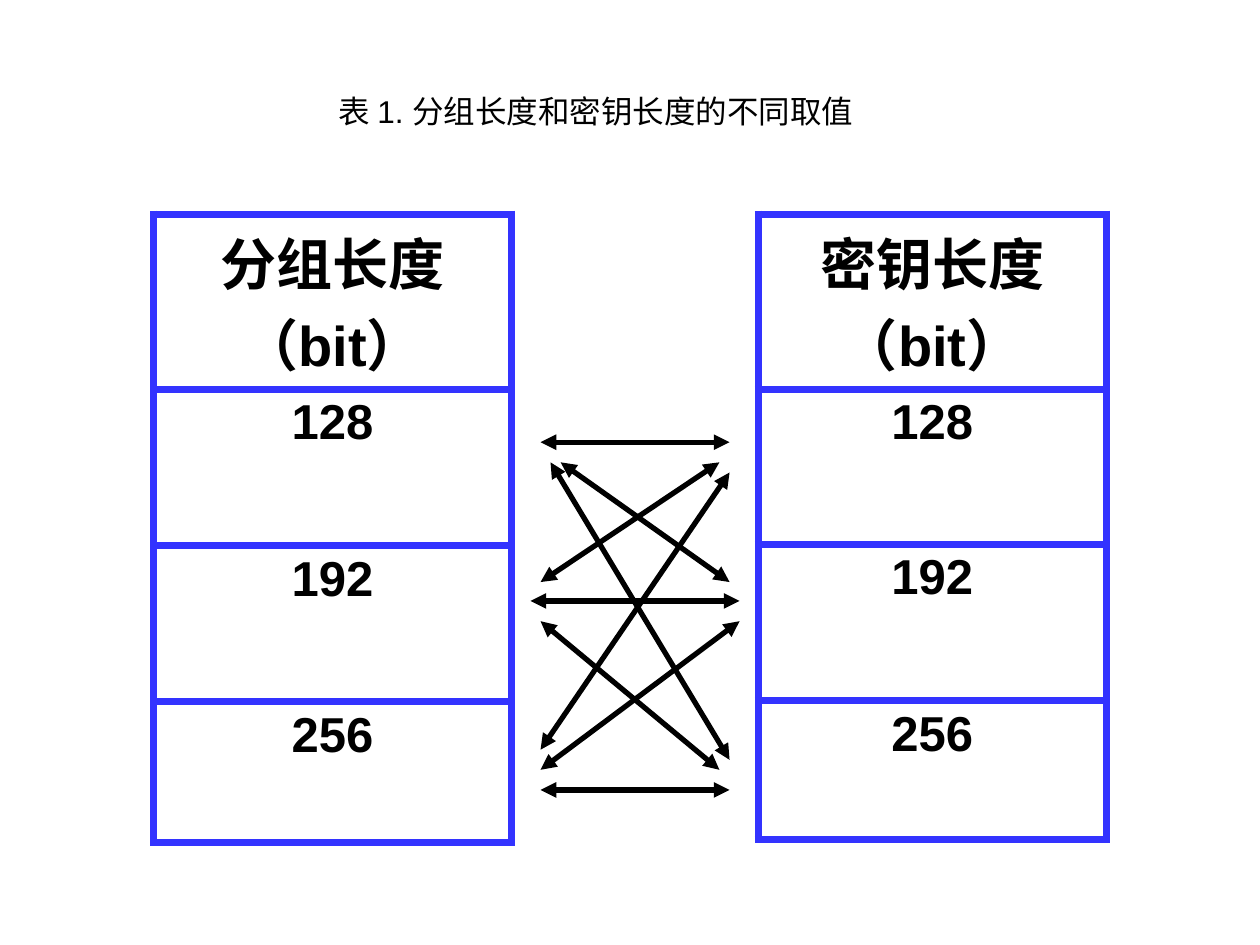
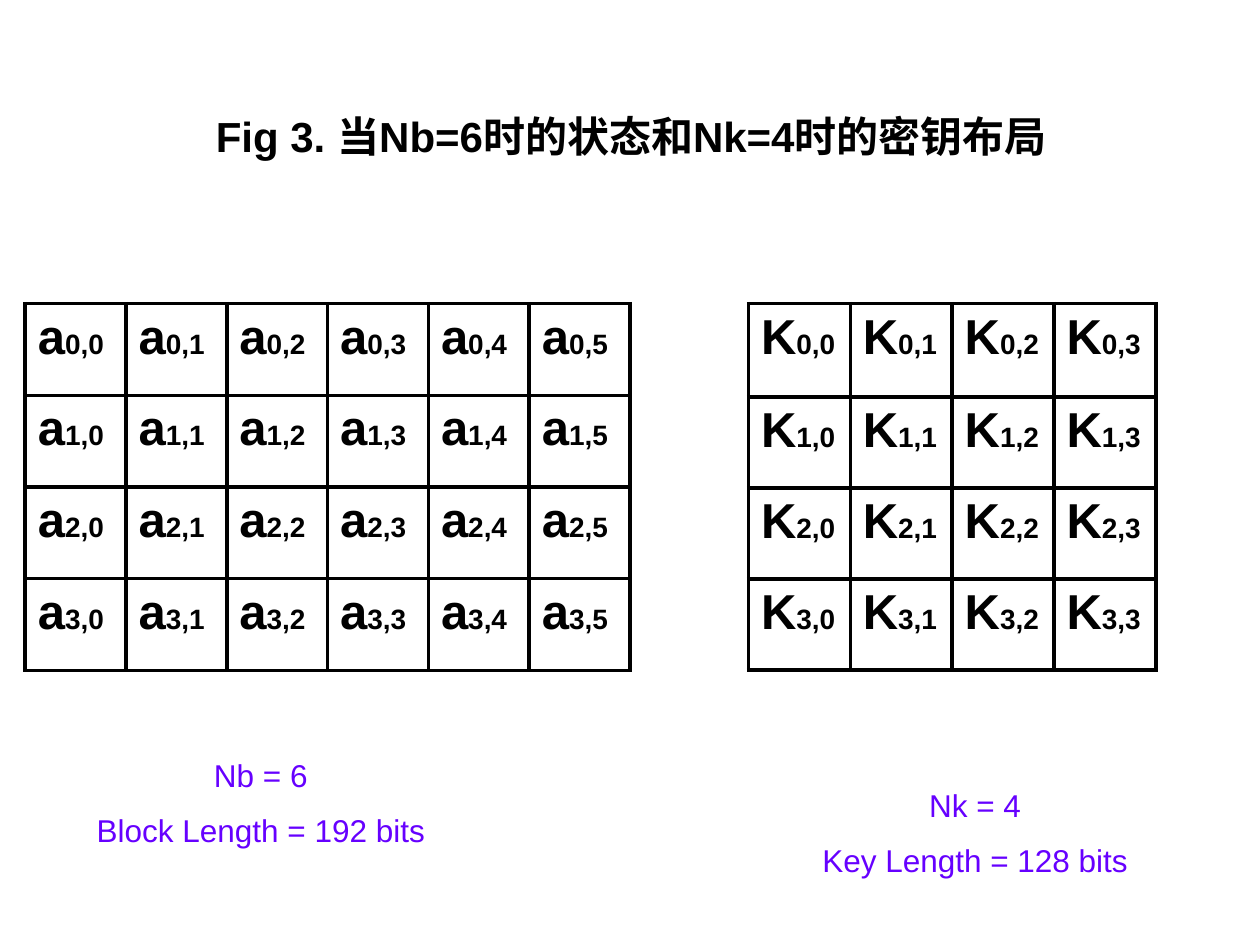
from typing import NamedTuple

from lxml.etree import SubElement
from pptx import Presentation
from pptx.dml.color import RGBColor
from pptx.enum.shapes import MSO_CONNECTOR
from pptx.enum.text import MSO_ANCHOR, MSO_AUTO_SIZE, PP_ALIGN
from pptx.oxml import parse_xml
from pptx.oxml.ns import nsdecls, qn
from pptx.util import Pt

FONT = "Arial"
BLACK, BLUE, VIOLET = "000000", "3333FF", "6600FF"
TITLE_ONLY, BLANK = 5, 6


class CellRun(NamedTuple):
    text: str
    size: float


class Grid(NamedTuple):
    left: float
    top: float
    col_width: float
    row_heights: list[float]
    cells: list[list[list[CellRun]]]
    border: str
    border_width: float
    align: PP_ALIGN


class Arrow(NamedTuple):
    x1: float
    y1: float
    x2: float
    y2: float


class Label(NamedTuple):
    left: float
    top: float
    width: float
    height: float
    lines: list[str]
    color: str


def rgb(value: str) -> RGBColor:
    return RGBColor.from_string(value)


def style(font, color: str, size: float | None = None, bold: bool = False) -> None:
    font.name = FONT
    font.bold = bold
    font.color.rgb = rgb(color)
    if size:
        font.size = Pt(size)


def set_borders(cell, color: str, width: float) -> None:
    """Border all four sides; border elements must precede the cell fill."""
    tc_pr = cell._tc.get_or_add_tcPr()
    for i, side in enumerate("LRTB"):
        tc_pr.insert(i, parse_xml(
            f'<a:ln{side} {nsdecls("a")} w="{Pt(width)}"><a:solidFill>'
            f'<a:srgbClr val="{color}"/></a:solidFill></a:ln{side}>'))


def add_grid(slide, grid: Grid) -> None:
    n_rows, n_cols = len(grid.cells), len(grid.cells[0])
    table = slide.shapes.add_table(
        n_rows, n_cols, Pt(grid.left), Pt(grid.top),
        Pt(grid.col_width * n_cols), Pt(sum(grid.row_heights))).table
    table.first_row = table.horz_banding = False
    for col in table.columns:
        col.width = Pt(grid.col_width)
    for row, height, contents in zip(table.rows, grid.row_heights, grid.cells):
        row.height = Pt(height)
        for cell, runs in zip(row.cells, contents):
            cell.fill.background()
            set_borders(cell, grid.border, grid.border_width)
            p = cell.text_frame.paragraphs[0]
            p.alignment = grid.align
            style(p.font, BLACK, bold=True)
            for run in runs:
                r = p.add_run()
                r.text = run.text
                style(r.font, BLACK, run.size, bold=True)


def add_arrow(slide, arrow: Arrow) -> None:
    s = slide.shapes.add_connector(MSO_CONNECTOR.STRAIGHT, *map(Pt, arrow))
    s.line.color.rgb = rgb(BLACK)
    s.line.width = Pt(3)
    ln = s.line._get_or_add_ln()
    for end in ("a:headEnd", "a:tailEnd"):
        SubElement(ln, qn(end), type="triangle")
    SubElement(s._element.spPr, qn("a:effectLst"))


def add_label(slide, label: Label) -> None:
    s = slide.shapes.add_textbox(*map(Pt, label[:4]))
    tf = s.text_frame
    tf.word_wrap = True
    tf.auto_size = MSO_AUTO_SIZE.SHAPE_TO_FIT_TEXT
    for i, line in enumerate(label.lines):
        p = tf.add_paragraph() if i else tf.paragraphs[0]
        p.text = line
        p.alignment = PP_ALIGN.CENTER
        if i:
            p.space_before = Pt(10)
        style(p.font, label.color, 18)


def set_title(slide, text: str) -> None:
    title = slide.shapes.title
    title.left, title.top, title.width, title.height = map(Pt, (36.7, 49, 648, 56.9))
    tf = title.text_frame
    tf.vertical_anchor = MSO_ANCHOR.MIDDLE
    p = tf.paragraphs[0]
    p.text = text
    p.alignment = PP_ALIGN.CENTER
    style(p.font, BLACK, 24, bold=True)


def length_grid(left: float, width: float, heights: list[float], header: str) -> Grid:
    """One column: a header above the three allowed bit lengths."""
    cells = [[[CellRun(header, 32)]]]
    cells += [[[CellRun(str(bits), 28)]] for bits in (128, 192, 256)]
    return Grid(left, 122.4, width, heights, cells, BLUE, 4.5, PP_ALIGN.CENTER)


def byte_grid(left: float, col_width: float, heights: list[float],
              letter: str, n_cols: int) -> Grid:
    """Matrix of indexed bytes, such as a0,0 to a3,5."""
    cells = [[[CellRun(letter, 28), CellRun(f"{row},{col}", 16)]
              for col in range(n_cols)] for row in range(len(heights))]
    return Grid(left, 173.5, col_width, heights, cells, BLACK, 2.25, PP_ALIGN.LEFT)


LENGTH_GRIDS = [
    length_grid(87.8, 204.5, [87.1, 89.3, 89.3, 80.6], "分组长度（bit）"),
    length_grid(433.4, 198.7, [89.3, 88.6, 89.3, 79.2], "密钥长度（bit）"),
]
LENGTH_ARROWS = [
    Arrow(303.1, 343.4, 422.6, 343.4),
    Arrow(308.9, 252.7, 416.9, 252.7),
    Arrow(308.9, 451.4, 416.9, 451.4),
    Arrow(314.6, 264.2, 416.9, 434.2),
    Arrow(320.4, 264.2, 416.9, 332.6),
    Arrow(308.9, 332.6, 411.1, 264.2),
    Arrow(308.9, 355, 411.1, 439.9),
    Arrow(308.9, 428.4, 416.9, 270),
    Arrow(308.9, 439.9, 422.6, 355),
]
CAPTION = Label(150.5, 49, 380.2, 28.8, ["表 1. 分组长度和密钥长度的不同取值"], BLACK)

BYTE_GRIDS = [
    byte_grid(14.4, 57.6, [52.4] * 4, "a", 6),
    byte_grid(427.7, 58.2, [53.3] + [52] * 3, "K", 4),
]
BYTE_NOTES = [
    Label(14.4, 428.4, 269.3, 67, ["Nb = 6", "Block Length = 192 bits"], VIOLET),
    Label(422.6, 445.7, 269.3, 67, ["Nk = 4", "Key Length = 128 bits"], VIOLET),
]


def build_lengths(prs) -> None:
    slide = prs.slides.add_slide(prs.slide_layouts[BLANK])
    for grid in LENGTH_GRIDS:
        add_grid(slide, grid)
    for arrow in LENGTH_ARROWS:
        add_arrow(slide, arrow)
    add_label(slide, CAPTION)


def build_layout(prs) -> None:
    slide = prs.slides.add_slide(prs.slide_layouts[TITLE_ONLY])
    set_title(slide, "Fig 3. 当Nb=6时的状态和Nk=4时的密钥布局")
    for grid, note in zip(BYTE_GRIDS, BYTE_NOTES):
        add_grid(slide, grid)
        add_label(slide, note)


def main() -> None:
    prs = Presentation()
    prs.slide_width, prs.slide_height = Pt(720), Pt(540)
    build_lengths(prs)
    build_layout(prs)
    prs.save("out.pptx")


if __name__ == "__main__":
    main()
